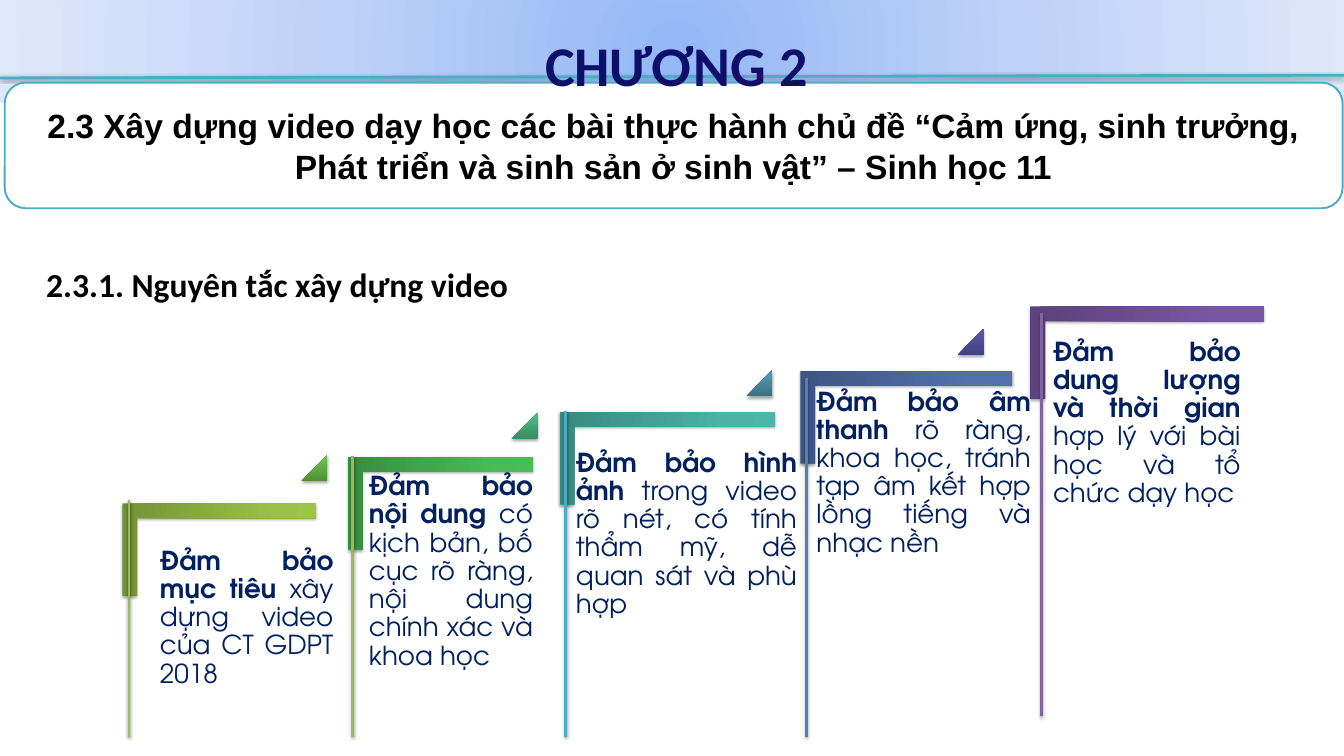
from dataclasses import dataclass

from pptx import Presentation
from pptx.dml.color import RGBColor
from pptx.enum.shapes import MSO_CONNECTOR as Connector, MSO_SHAPE as Shape
from pptx.enum.text import MSO_ANCHOR as Anchor, MSO_AUTO_SIZE as AutoSize, PP_ALIGN as Align
from pptx.oxml import parse_xml
from pptx.oxml.ns import nsdecls, qn
from pptx.util import Inches, Pt

BLACK = RGBColor(0, 0, 0)
WHITE = RGBColor(255, 255, 255)
NAVY = RGBColor(0x00, 0x20, 0x60)
TITLE_BLUE = RGBColor(0x0D, 0x0F, 0x68)
AQUA = RGBColor(0x4B, 0xAC, 0xC6)
BLUE = RGBColor(0x4F, 0x81, 0xBD)
PURPLE = RGBColor(0x80, 0x64, 0xA2)
OLIVE = RGBColor(0x9B, 0xBB, 0x59)
BANNER_COLORS = [RGBColor.from_string(c) for c in ("94B7F6", "BED1F7", "DEE8FB")]
BRACKET_COLORS = [
    [RGBColor.from_string(c) for c in row.split()]
    for row in ("759336 99C247 9BC545", "388D3F 49BB54 47BE53", "3A897F 4DB3A8 4CB6AA",
                "3E5582 5170AC 506FAF", "5C417C 7955A4 7955A6")
]
TRIANGLE_COLORS = [
    [RGBColor.from_string(c) for c in row.split()]
    for row in ("4F9036 68BE48 67C046", "398B61 4CB780 4ABA81",
                "3C7085 5094AE 4F95B1", "43407F 5854A7 5753AA")
]
UPWARD = '<a:lin ang="16200000" scaled="0"/>'
RADIAL = '<a:path path="circle"><a:fillToRect l="50000" t="50000" r="50000" b="50000"/></a:path>'
BRACKET_DEPTH = 1.38
TRIANGLE_SIZE = 0.39
TEXT_HEIGHT = 1.82


@dataclass
class Step:
    """One stair: bracket corner and length, text box, and its upright line."""
    left: float
    top: float
    length: float
    text_box: tuple
    lead: str
    detail: str
    upright: tuple
    color: RGBColor


STEPS = [
    Step(1.82, 7.49, 2.88, (2.26, 8.03, 2.82), "Đảm bảo mục tiêu ",
         "xây dựng video của CT GDPT 2018", (1.92, 7.44, 10.96), OLIVE),
    Step(5.18, 6.8, 2.75, (5.37, 6.92, 2.68), "Đảm bảo nội dung ",
         "có kịch bản, bố cục rõ ràng, nội dung chính xác và khoa học", (5.25, 6.79, 10.96), OLIVE),
    Step(8.33, 6.13, 3.2, (8.45, 6.57, 3.53), "Đảm bảo hình ảnh ",
         "trong video rõ nét, có tính thẩm mỹ, dễ quan sát và phù hợp", (8.42, 6.12, 10.96), AQUA),
    Step(11.91, 5.52, 3.16, (12.03, 5.66, 3.43), "Đảm bảo âm thanh ",
         "rõ ràng, khoa học, tránh tạp âm kết hợp lồng tiếng và nhạc nền", (12, 5.62, 10.96), BLUE),
    Step(15.33, 4.56, 3.48, (15.55, 4.92, 3.03), "Đảm bảo dung lượng và thời gian ",
         "hợp lý với bài học và tổ chức dạy học", (15.5, 4.66, 10.66), PURPLE),
]
TRIANGLES = [(4.48, 6.77), (7.61, 6.14), (11.1, 5.51), (14.25, 4.89)]


def apply_format(target, values):
    """Set each named attribute on the target."""
    for name, value in values.items():
        setattr(target, name, value)


def set_gradient(shape, colors, positions, direction):
    """Give a shape a gradient fill and no outline."""
    shape.shadow.inherit = False
    shape.line.fill.background()
    shape.fill.solid()
    stops = "".join(f'<a:gs pos="{position * 1000}"><a:srgbClr val="{color}"/></a:gs>'
                    for position, color in zip(positions, colors))
    gradient = parse_xml(f'<a:gradFill {nsdecls("a")} rotWithShape="1">'
                         f'<a:gsLst>{stops}</a:gsLst>{direction}</a:gradFill>')
    properties = shape._element.spPr
    properties.replace(properties.find(qn("a:solidFill")), gradient)


def add_shadow(shape):
    """Give a shape or connector a soft shadow below it."""
    properties = shape._element.spPr
    for effects in properties.findall(qn("a:effectLst")):
        properties.remove(effects)
    properties.append(parse_xml(
        f'<a:effectLst {nsdecls("a")}><a:outerShdw blurRad="{Pt(3.1)}" dist="{Pt(1.8)}" '
        'dir="5400000" rotWithShape="0"><a:srgbClr val="000000"><a:alpha val="35000"/>'
        '</a:srgbClr></a:outerShdw></a:effectLst>'))


def add_line(slide, start, end, color):
    """Draw a shadowed line between two points."""
    points = [Inches(value) for value in (*start, *end)]
    line = slide.shapes.add_connector(Connector.STRAIGHT, *points)
    line.line.color.rgb = color
    line.line.width = Pt(3)
    add_shadow(line)


def add_gradient_shape(slide, kind, box, adjustments, colors, rotation=0):
    """Draw a shadowed preset shape with a gradient."""
    shape = slide.shapes.add_shape(kind, *[Inches(value) for value in box])
    for index, value in enumerate(adjustments):
        shape.adjustments[index] = value
    shape.rotation = rotation
    set_gradient(shape, colors, (0, 80, 100), UPWARD)
    add_shadow(shape)


def write_text(shape, runs, font, frame, paragraph_format, margins=(0, 0)):
    """Fill a shape with one paragraph made of (text, bold) runs."""
    text_frame = shape.text_frame
    horizontal, vertical = [Inches(margin) for margin in margins]
    apply_format(text_frame, {
        "word_wrap": True, "margin_left": horizontal, "margin_right": horizontal,
        "margin_top": vertical, "margin_bottom": vertical, **frame})
    paragraph = text_frame.paragraphs[0]
    apply_format(paragraph, paragraph_format)
    for text, bold in runs:
        run = paragraph.add_run()
        run.text = text
        apply_format(run.font, {"name": font[0], "size": Pt(font[1]), "bold": bold})
        run.font.color.rgb = font[2]


def add_banner(slide):
    """Draw the gradient band across the top and its rule."""
    width, height = Inches(1.54), Inches(20.12)
    builder = slide.shapes.build_freeform(0, height)
    builder.add_line_segments([(0, 0), (width, 0), (width, height)], close=True)
    banner = builder.convert_to_shape()
    apply_format(banner, {"left": Inches(9.29), "top": Inches(-9.29), "rotation": 270})
    set_gradient(banner, BANNER_COLORS, (0, 50, 100), RADIAL)
    add_line(slide, (0, 1.16), (20, 1.12), AQUA)


def add_step(slide, step, colors):
    """Draw one stair bracket with its text."""
    left = step.left + (step.length - BRACKET_DEPTH) / 2
    top = step.top - (step.length - BRACKET_DEPTH) / 2
    add_gradient_shape(slide, Shape.CORNER, (left, top, BRACKET_DEPTH, step.length),
                       (0.16, 0.16), colors, 90)
    box = slide.shapes.add_textbox(*[Inches(value) for value in (*step.text_box, TEXT_HEIGHT)])
    write_text(box, [(step.lead, True), (step.detail, False)], ("TeX Gyre Adventor", 28, NAVY),
               {"vertical_anchor": Anchor.TOP},
               {"alignment": Align.JUSTIFY, "line_spacing": 0.9}, (0.12, 0.12))


def add_section_box(slide):
    """Draw the rounded box with the section name."""
    box = slide.shapes.add_shape(Shape.ROUNDED_RECTANGLE, Inches(0.07), Inches(1.23),
                                 Inches(19.91), Inches(1.87))
    box.shadow.inherit = False
    box.fill.solid()
    box.fill.fore_color.rgb = WHITE
    box.line.color.rgb = AQUA
    box.line.width = Pt(2)
    text = ("2.3 Xây dựng video dạy học các bài thực hành chủ đề “Cảm ứng, sinh trưởng, "
            "Phát triển và sinh sản ở sinh vật” – Sinh học 11")
    write_text(box, [(text, True)], ("Arial", 36, BLACK), {"vertical_anchor": Anchor.MIDDLE},
               {"alignment": Align.CENTER}, (0.1, 0.05))


def add_headings(slide):
    """Place the chapter title and the subsection heading in front."""
    frame = {"vertical_anchor": Anchor.TOP, "auto_size": AutoSize.SHAPE_TO_FIT_TEXT}
    title = slide.shapes.title
    apply_format(title, {"left": Inches(4.01), "top": Inches(0.05),
                         "width": Inches(12.11), "height": Inches(1.11)})
    slide.shapes._spTree.append(title._element)
    write_text(title, [("CHƯƠNG 2", True)], ("Calibri", 60, TITLE_BLUE), frame,
               {"alignment": Align.CENTER, "line_spacing": 1.4})
    heading = slide.shapes.add_textbox(Inches(-1.93), Inches(3.13), Inches(12.11), Inches(1.02))
    write_text(heading, [("2.3.1. Nguyên tắc xây dựng video", True)], ("Calibri", 36, BLACK),
               frame, {"alignment": Align.CENTER, "line_spacing": 2.33})


def main():
    """Build the slide and save it."""
    presentation = Presentation()
    apply_format(presentation, {"slide_width": Inches(20), "slide_height": Inches(11.25)})
    slide = presentation.slides.add_slide(presentation.slide_layouts[5])
    add_banner(slide)
    for step, colors in zip(STEPS, BRACKET_COLORS):
        add_step(slide, step, colors)
    for corner, colors in zip(TRIANGLES, TRIANGLE_COLORS):
        add_gradient_shape(slide, Shape.ISOSCELES_TRIANGLE,
                           (*corner, TRIANGLE_SIZE, TRIANGLE_SIZE), (1,), colors)
    for step in STEPS:
        x, top, bottom = step.upright
        add_line(slide, (x, top), (x, bottom), step.color)
    add_section_box(slide)
    add_headings(slide)
    presentation.save("out.pptx")


if __name__ == "__main__":
    main()
